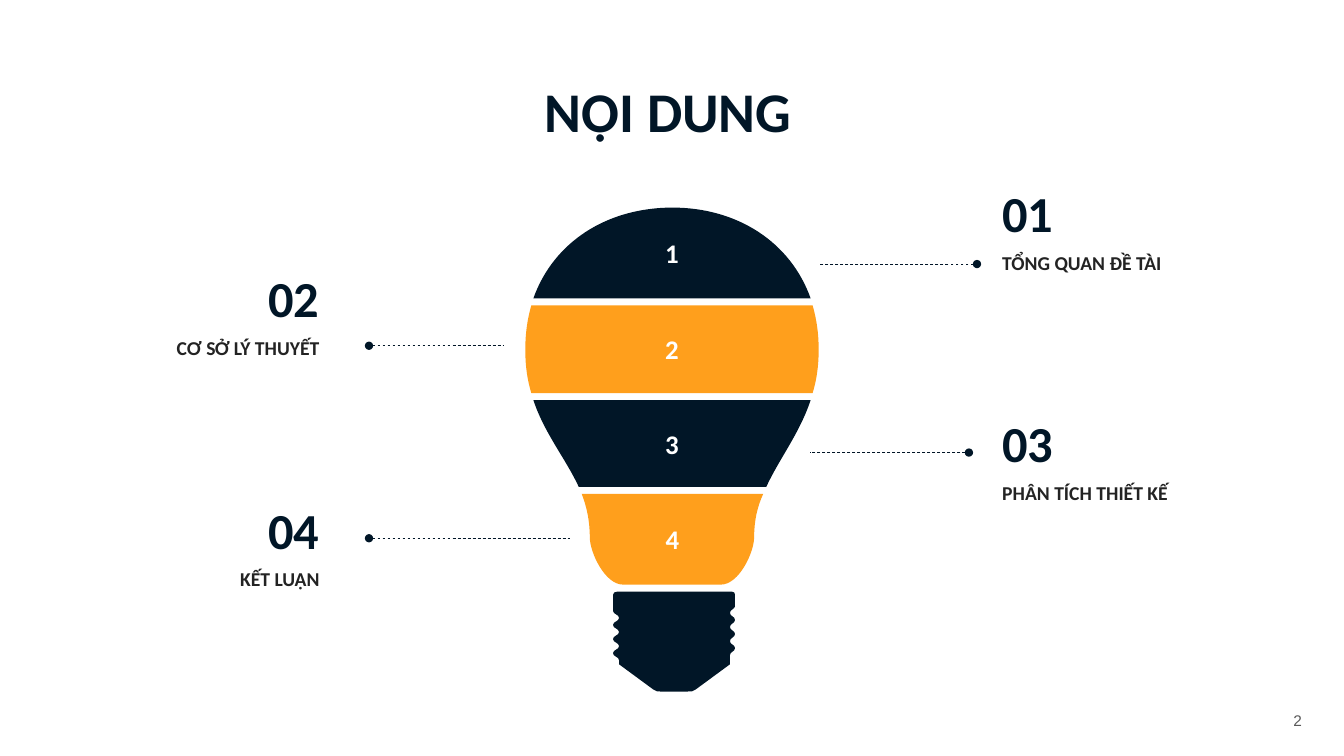
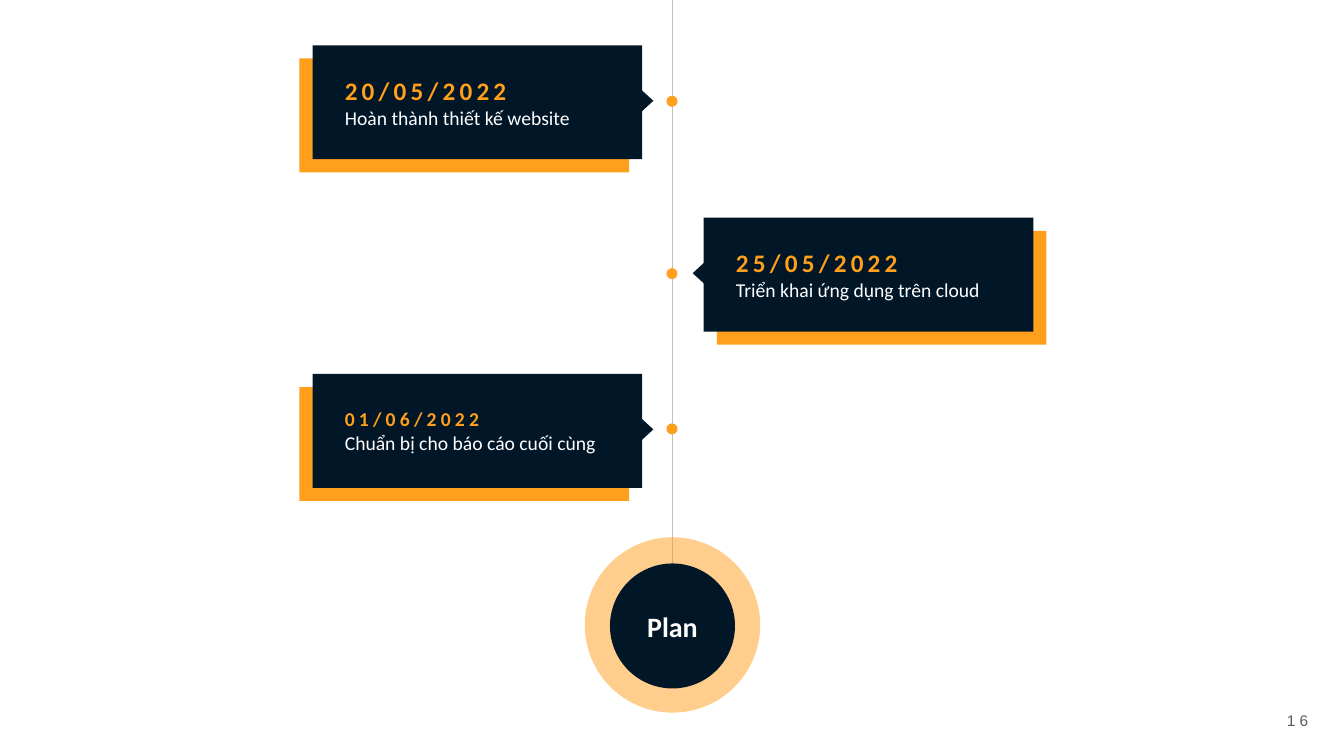
"""Build a contents slide with a light bulb and a plan timeline slide."""
from lxml import etree
from pptx import Presentation
from pptx import util as u
from pptx.dml.color import RGBColor
from pptx.enum import dml, shapes, text
from pptx.oxml.ns import qn

Inches = u.Inches
NAVY = RGBColor(0x01, 0x16, 0x27)
ORANGE = RGBColor(0xFF, 0x9F, 0x1C)
WHITE = RGBColor(0xFF, 0xFF, 0xFF)
INK = RGBColor(0x23, 0x23, 0x23)
GREY = RGBColor(0x5A, 0x5A, 0x5A)
RULE = RGBColor(0xBF, 0xBF, 0xBF)
LEFT, CENTER, RIGHT = text.PP_ALIGN.LEFT, text.PP_ALIGN.CENTER, text.PP_ALIGN.RIGHT
MIDDLE = text.MSO_ANCHOR.MIDDLE
GROW = text.MSO_AUTO_SIZE.SHAPE_TO_FIT_TEXT
RECT = shapes.MSO_SHAPE.RECTANGLE
TRIANGLE = shapes.MSO_SHAPE.ISOSCELES_TRIANGLE
OVAL = shapes.MSO_SHAPE.OVAL


def write(paragraph, words, size, color, bold=True, align=LEFT, font="Calibri", spacing=0):
    paragraph.alignment = align
    run = paragraph.add_run()
    run.text = words
    run.font.size = u.Pt(size)
    run.font.name = font
    run.font.bold = bold
    run.font.color.rgb = color
    if spacing:
        run.font._element.set("spc", str(spacing * 100))


def paint(shape, color):
    shape.shadow.inherit = False
    shape.fill.solid()
    shape.fill.fore_color.rgb = color
    shape.line.fill.background()
    return shape


deck = Presentation()
deck.slide_width, deck.slide_height = Inches(13.33), Inches(7.5)
contents = deck.slides.add_slide(deck.slide_layouts[5])
plan = deck.slides.add_slide(deck.slide_layouts[6])

for slide, number in ((contents, "2"), (plan, "16")):
    footer = slide.shapes.add_textbox(Inches(12.41), Inches(6.95), Inches(0.92), Inches(0.4))
    footer.text_frame.vertical_anchor = MIDDLE
    write(footer.text_frame.paragraphs[0], number, 11, GREY, False, CENTER, "Arial", 3)

title = contents.shapes.title
title.left, title.top, title.width, title.height = Inches(0.85), Inches(0.38), Inches(11.68), Inches(1.01)
title.text_frame.auto_size = GROW
title.text_frame.vertical_anchor = text.MSO_ANCHOR.TOP
title.text_frame.paragraphs[0].line_spacing = 1.5
write(title.text_frame.paragraphs[0], "NỘI DUNG ", 40, NAVY, align=CENTER)

screw = [(7.29, 5.9), (7.29, 5.88, 7.28, 5.87, 7.26, 5.87), (6.12, 5.87),
         (6.1, 5.87, 6.08, 5.88, 6.08, 5.9), (6.08, 6.06)]
for outer, inner, first, step in ((6.08, 6.14, 6.06, 0.07), (7.29, 7.24, 6.5, -0.07)):
    x, y = (outer, first) if step > 0 else (inner, first)
    for _ in range(7):
        next_x = inner if x == outer else outer
        screw.append((x, y + step / 2, next_x, y + step / 2, next_x, y + step))
        x, y = next_x, y + step
    if step > 0:
        screw += [(6.14, 6.59), (6.48, 6.84), (6.5, 6.86, 6.53, 6.86, 6.55, 6.86), (6.82, 6.86),
                  (6.85, 6.86, 6.88, 6.86, 6.9, 6.84), (7.24, 6.59), (7.24, 6.5)]

bulb = [
    ("", NAVY, (7.29, 6.02), screw),
    ("1", NAVY, (8.04, 2.96), [(7.84, 2.4, 7.31, 2.06, 6.67, 2.06), (6.02, 2.06, 5.49, 2.4, 5.29, 2.96)]),
    ("2", ORANGE, (5.21, 3.47), [(5.21, 3.63, 5.23, 3.77, 5.27, 3.9), (8.06, 3.9),
                                 (8.1, 3.77, 8.12, 3.63, 8.12, 3.47), (8.12, 3.31, 8.1, 3.17, 8.06, 3.03),
                                 (5.27, 3.03), (5.23, 3.17, 5.21, 3.31, 5.21, 3.47)]),
    ("4", ORANGE, (5.77, 4.9), [(5.82, 5.03, 5.85, 5.17, 5.85, 5.33), (5.85, 5.48, 6, 5.8, 6.18, 5.8),
                                (7.15, 5.8), (7.33, 5.8, 7.48, 5.48, 7.48, 5.33),
                                (7.48, 5.17, 7.51, 5.03, 7.57, 4.9)]),
    ("3", NAVY, (7.6, 4.83), [(7.73, 4.55, 7.93, 4.3, 8.04, 3.97), (5.29, 3.97),
                              (5.4, 4.3, 5.61, 4.55, 5.74, 4.83)]),
]
for digit, color, start, segments in bulb:
    outline = contents.shapes.build_freeform(Inches(start[0]), Inches(start[1]))
    outline.add_line_segments([(Inches(s[-2]), Inches(s[-1])) for s in segments], close=True)
    band = paint(outline.convert_to_shape(), color)
    for edge, segment in zip(list(band._element.iter(qn("a:lnTo"))), segments):
        if len(segment) == 6:
            curve = etree.Element(qn("a:cubicBezTo"))
            for x, y in zip(segment[::2], segment[1::2]):
                etree.SubElement(curve, qn("a:pt"), x=str(Inches(x) - band.left), y=str(Inches(y) - band.top))
            edge.getparent().replace(edge, curve)
    if digit:
        band.text_frame.vertical_anchor = MIDDLE
        write(band.text_frame.paragraphs[0], digit, 19.2, WHITE, align=CENTER)

topics = [
    ("01", "TỔNG QUAN ĐỀ TÀI", 9.94, 9.94, 1.76, LEFT, 9.69, 8.12, 2.62),
    ("02", "CƠ SỞ LÝ THUYẾT", 2.66, 0.87, 2.6, RIGHT, 3.66, 4.99, 3.43),
    ("03", "PHÂN TÍCH THIẾT KẾ", 9.94, 9.94, 4.04, LEFT, 9.61, 8.03, 4.49),
    ("04", "KẾT LUẬN", 2.66, 0.87, 4.9, RIGHT, 3.66, 5.65, 5.34),
]
leaders = []
for number, label, number_x, label_x, top, align, dot_x, bulb_x, leader_y in topics:
    for words, size, color, left, y, width, height, wrap, side in (
            (number, 36, NAVY, number_x, top, 0.51, 0.71, False, LEFT),
            (label, 14, INK, label_x, top + 0.68, 2.3, 0.34, True, align)):
        caption = contents.shapes.add_textbox(Inches(left), Inches(y), Inches(width), Inches(height))
        caption.text_frame.word_wrap = wrap
        caption.text_frame.auto_size = GROW
        caption.text_frame.margin_left = caption.text_frame.margin_right = 0
        write(caption.text_frame.paragraphs[0], words, size, color, align=side)
    leader = contents.shapes.add_connector(shapes.MSO_CONNECTOR.STRAIGHT, Inches(dot_x), Inches(leader_y),
                                           Inches(bulb_x), Inches(leader_y))
    leader.line.color.rgb = NAVY
    leader.line.dash_style = dml.MSO_LINE.DASH
    etree.SubElement(leader.line._get_or_add_ln(), qn("a:headEnd"), type="oval")
    leaders.append(leader)

timeline = plan.shapes.add_connector(shapes.MSO_CONNECTOR.STRAIGHT, Inches(6.67), 0, Inches(6.67), Inches(6.69))
timeline.line.color.rgb = RULE
for line in leaders + [timeline]:
    line.line.width = u.Pt(0.5)
    etree.SubElement(line._element.spPr, qn("a:effectLst"))

milestones = [
    ("20/05/2022", 18, "Hoàn thành thiết kế website", 3.1, 0.45, -0.13, 6.31, 90),
    ("25/05/2022", 18, "Triển khai ứng dụng trên cloud", 6.98, 2.16, 0.13, 6.82, 270),
    ("01/06/2022", 14, "Chuẩn bị cho báo cáo cuối cùng", 3.1, 3.71, -0.13, 6.31, 90),
]
for date, date_size, task, left, top, shift, pointer_x, turn in milestones:
    group = plan.shapes.add_group_shape().shapes
    paint(group.add_shape(RECT, Inches(left + shift), Inches(top + 0.13), Inches(3.27), Inches(1.13)), ORANGE)
    card = paint(group.add_shape(RECT, Inches(left), Inches(top), Inches(3.27), Inches(1.13)), NAVY)
    card.text_frame.margin_left = Inches(0.32)
    card.text_frame.vertical_anchor = MIDDLE
    write(card.text_frame.paragraphs[0], date, date_size, ORANGE, spacing=3)
    write(card.text_frame.add_paragraph(), task, 14, WHITE, False)
    pointer = group.add_shape(TRIANGLE, Inches(pointer_x), Inches(top + 0.49), Inches(0.22), Inches(0.12))
    paint(pointer, NAVY).rotation = turn

halo = paint(plan.shapes.add_shape(OVAL, Inches(5.8), Inches(5.33), Inches(1.74), Inches(1.74)), ORANGE)
halo_color = halo._element.spPr.find(qn("a:solidFill")).find(qn("a:srgbClr"))
etree.SubElement(halo_color, qn("a:alpha"), val="50000")
hub = paint(plan.shapes.add_shape(OVAL, Inches(6.05), Inches(5.59), Inches(1.24), Inches(1.24)), NAVY)
hub.text_frame.vertical_anchor = MIDDLE
write(hub.text_frame.paragraphs[0], "Plan", 20, WHITE, align=CENTER)
for dot_y in (4.2, 2.66, 0.95):
    paint(plan.shapes.add_shape(OVAL, Inches(6.61), Inches(dot_y), Inches(0.11), Inches(0.11)), ORANGE)

deck.save("out.pptx")
